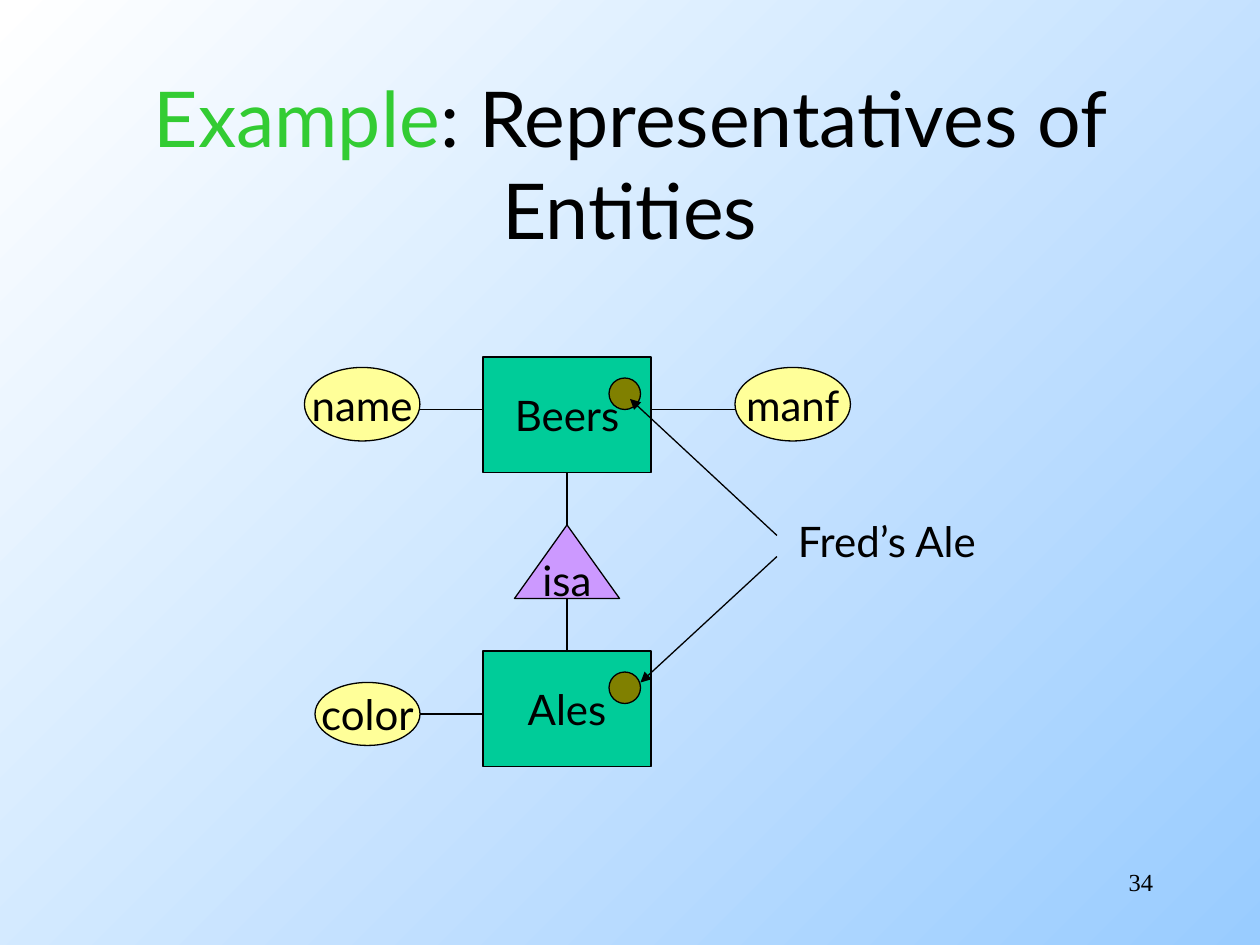
from pptx import Presentation
from pptx.dml.color import RGBColor
from pptx.enum import shapes, text
from pptx.oxml import parse_xml
from pptx.oxml.ns import nsdecls
from pptx.util import Pt

BLACK = RGBColor(0, 0, 0)
WHITE = RGBColor(0xFF, 0xFF, 0xFF)
SKY = RGBColor(0x99, 0xCC, 0xFF)
GREEN = RGBColor(0x33, 0xCC, 0x33)
TEAL = RGBColor(0x00, 0xCC, 0x99)
PURPLE = RGBColor(0xCC, 0x99, 0xFF)
YELLOW = RGBColor(0xFF, 0xFF, 0x99)
OLIVE = RGBColor(0x80, 0x80, 0x00)

RECT = shapes.MSO_SHAPE.RECTANGLE
OVAL = shapes.MSO_SHAPE.OVAL
TRI = shapes.MSO_SHAPE.ISOSCELES_TRIANGLE
LEFT, CENTER, RIGHT = text.PP_ALIGN.LEFT, text.PP_ALIGN.CENTER, text.PP_ALIGN.RIGHT


def style(para, size, align, face="Lato"):
    para.alignment = align
    para.font.size = Pt(size)
    para.font.name = face
    para.font.color.rgb = BLACK


deck = Presentation()
deck.slide_width, deck.slide_height = Pt(720), Pt(540)
slide = deck.slides.add_slide(deck.slide_layouts[5])

# Background, shaded from top left to bottom right
fill = slide.background.fill
fill.gradient()
fill.gradient_angle = 315
for stop, color in zip(fill.gradient_stops, (WHITE, SKY)):
    stop.color.rgb = color
fill.gradient_stops[0].position = 0
fill.gradient_stops[1].position = 1

# Title
title = slide.shapes.title
title.left, title.top, title.width, title.height = Pt(54), Pt(48), Pt(612), Pt(90)
frame = title.text_frame
frame.auto_size = text.MSO_AUTO_SIZE.NONE
frame.vertical_anchor = text.MSO_ANCHOR.MIDDLE
para = frame.paragraphs[0]
style(para, 44, CENTER)
lead = para.add_run()
lead.text = "Example"
lead.font.color.rgb = GREEN
para.add_run().text = ": Representatives of Entities"

# Entities, isa triangle, attributes and the dots inside the entities
for kind, color, label, x, y, w, h in (
    (RECT, TEAL, "Beers", 276, 204, 96, 66),
    (RECT, TEAL, "Ales", 276, 372, 96, 66),
    (TRI, PURPLE, "isa", 294, 300, 60, 42),
    (OVAL, YELLOW, "name", 174, 210, 66, 42),
    (OVAL, YELLOW, "manf", 420, 210, 66, 42),
    (OVAL, YELLOW, "color", 180, 390, 60, 36),
    (OVAL, OLIVE, "", 348, 216, 18, 18),
    (OVAL, OLIVE, "", 348, 384, 18, 18),
):
    node = slide.shapes.add_shape(kind, Pt(x), Pt(y), Pt(w), Pt(h))
    node.shadow.inherit = False
    node.fill.solid()
    node.fill.fore_color.rgb = color
    node.line.color.rgb = BLACK
    node.line.width = Pt(0.75)
    if label:
        frame = node.text_frame
        frame.word_wrap = False
        frame.vertical_anchor = text.MSO_ANCHOR.MIDDLE
        frame.text = label
        style(frame.paragraphs[0], 24, CENTER)

# Links, and arrows from the example to its dots
for x1, y1, x2, y2, arrow in (
    (240, 234, 276, 234, False),
    (420, 234, 372, 234, False),
    (324, 300, 324, 270, False),
    (324, 342, 324, 372, False),
    (240, 408, 276, 408, False),
    (444, 306, 360, 228, True),
    (444, 318, 366, 390, True),
):
    link = slide.shapes.add_connector(
        shapes.MSO_CONNECTOR.STRAIGHT, Pt(x1), Pt(y1), Pt(x2), Pt(y2))
    link.line.color.rgb = BLACK
    link.line.width = Pt(0.75)
    if arrow:
        link.line._get_or_add_ln().append(
            parse_xml(f'<a:tailEnd {nsdecls("a")} type="triangle"/>'))
    link._element.spPr.append(parse_xml(f'<a:effectLst {nsdecls("a")}/>'))

# Example name and page number
for label, x, y, w, h, size, align, face, wrap in (
    ("Fred’s Ale", 448.8, 291, 116.4, 36, 24, LEFT, "Lato", False),
    ("34", 516, 492, 150, 36, 14, RIGHT, "Times New Roman", True),
):
    box = slide.shapes.add_textbox(Pt(x), Pt(y), Pt(w), Pt(h))
    box.text_frame.word_wrap = wrap
    box.text_frame.text = label
    style(box.text_frame.paragraphs[0], size, align, face)

deck.save("out.pptx")
